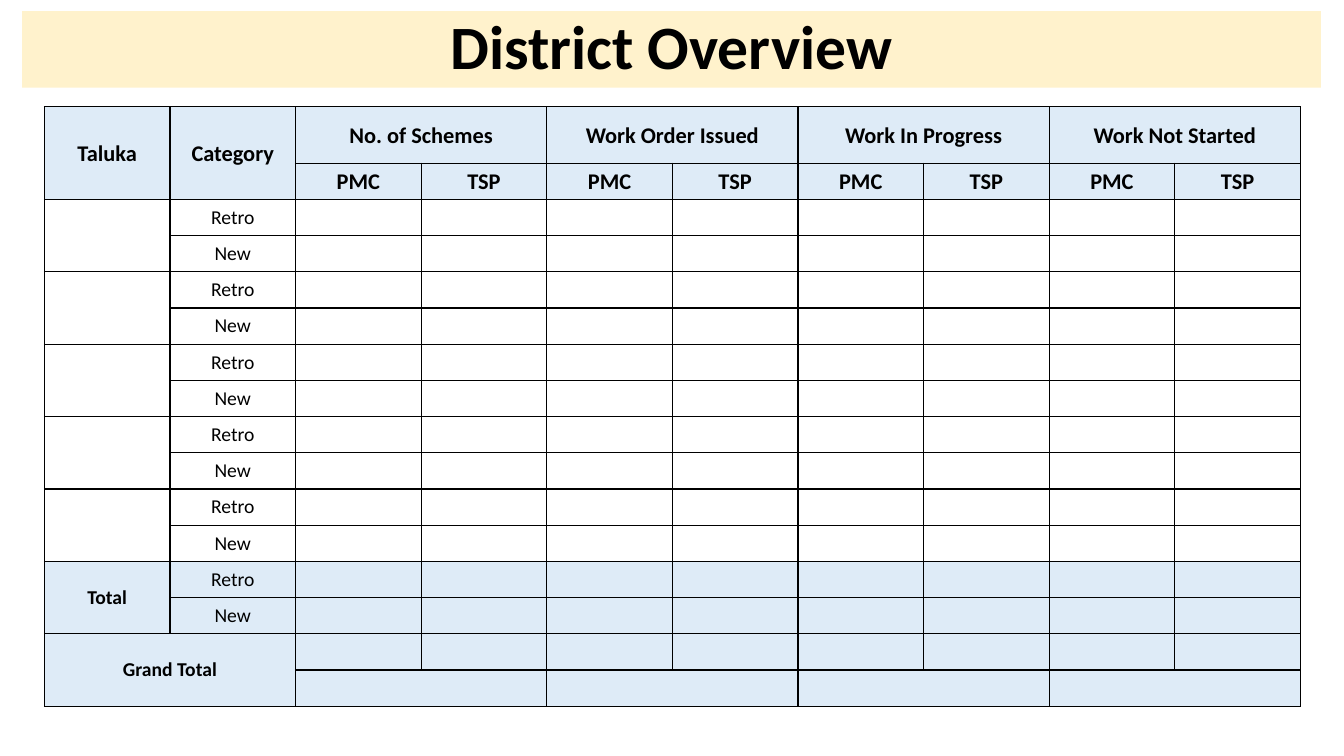
from dataclasses import dataclass

from lxml.etree import SubElement
from pptx import Presentation
from pptx.dml.color import RGBColor as Rgb
from pptx.enum.text import MSO_ANCHOR as Anchor, MSO_AUTO_SIZE as AutoSize, PP_ALIGN as Align
from pptx.oxml import parse_xml
from pptx.oxml.ns import nsdecls, qn
from pptx.util import Inches, Pt


@dataclass(frozen=True)
class Theme:
    font: str = "Calibri"
    ink: str = "000000"
    title_fill: str = "FFF2CC"
    shade: str = "DEEBF7"
    title_size: int = 44
    header_size: int = 16
    body_size: int = 14
    border: int = 1


THEME = Theme()
MEASURES = ["No. of Schemes", "Work Order Issued", "Work In Progress", "Work Not Started"]
SCHEME_TYPES = ["PMC", "TSP"]
CATEGORIES = ["Retro", "New"]
TALUKA_COUNT = 5
HEADER_ROWS = 2
TOTAL_ROW = HEADER_ROWS + TALUKA_COUNT * len(CATEGORIES)
GRAND_ROW = TOTAL_ROW + len(CATEGORIES)
ROW_COUNT = GRAND_ROW + 2
COLUMN_COUNT = 2 + len(MEASURES) * len(SCHEME_TYPES)


def set_values(target, values):
    for name, value in values.items():
        setattr(target, name, value)


def write_text(frame, text, size, bold):
    """Put one centred line of text in a frame."""
    para = frame.paragraphs[0]
    para.alignment = Align.CENTER
    span = para.add_run()
    span.text = text
    set_values(span.font, {"name": THEME.font, "size": Pt(size), "bold": bold})
    span.font.color.rgb = Rgb.from_string(THEME.ink)


def add_title(page, text):
    box = page.shapes.title
    set_values(box, {"left": Inches(0.22), "top": Inches(0.11),
                     "width": Inches(12.88), "height": Inches(0.76)})
    box.fill.solid()
    box.fill.fore_color.rgb = Rgb.from_string(THEME.title_fill)
    frame = box.text_frame
    set_values(frame, {"word_wrap": True, "auto_size": AutoSize.NONE,
                       "vertical_anchor": Anchor.MIDDLE})
    write_text(frame, text, THEME.title_size, True)
    frame.paragraphs[0].line_spacing = 0.9


def add_borders(cell):
    """Draw the four sides; they must precede the fill in the XML."""
    properties = cell._tc.get_or_add_tcPr()
    for index, side in enumerate(("lnL", "lnR", "lnT", "lnB")):
        line = parse_xml(f'<a:{side} {nsdecls("a")} w="{Pt(THEME.border)}"/>')
        fill = SubElement(line, qn("a:solidFill"))
        SubElement(fill, qn("a:srgbClr"), val=THEME.ink)
        properties.insert(index, line)


def format_cell(cell, shaded, is_header):
    side, top, bottom = (0.01, 0.01, 0) if is_header else (0.03, 0.02, 0.02)
    set_values(cell, {"margin_left": Inches(side), "margin_right": Inches(side),
                      "margin_top": Inches(top), "margin_bottom": Inches(bottom),
                      "vertical_anchor": Anchor.MIDDLE})
    if shaded:
        cell.fill.solid()
        cell.fill.fore_color.rgb = Rgb.from_string(THEME.shade)
    else:
        cell.fill.background()
    add_borders(cell)


def add_grid(page):
    """Add the formatted, still empty table."""
    width, height, first_row = Inches(12.46), Inches(5.95), Inches(0.56)
    table = page.shapes.add_table(ROW_COUNT, COLUMN_COUNT, Inches(0.44), Inches(1.06),
                                  width, height).table
    set_values(table, {"first_row": False, "horz_banding": False})
    for column in table.columns:
        column.width = width // COLUMN_COUNT
    for row_index, row in enumerate(table.rows):
        row.height = first_row if row_index == 0 else (height - first_row) // (ROW_COUNT - 1)
        is_header = row_index < HEADER_ROWS
        for cell in row.cells:
            format_cell(cell, is_header or row_index >= TOTAL_ROW, is_header)
    return table


def merge(table, row, column, rows=1, columns=1):
    cell = table.cell(row, column)
    cell.merge(table.cell(row + rows - 1, column + columns - 1))
    return cell


def fill_headers(table):
    for column, text in enumerate(["Taluka", "Category"]):
        cell = merge(table, 0, column, rows=HEADER_ROWS)
        write_text(cell.text_frame, text, THEME.header_size, True)
    for index, measure in enumerate(MEASURES):
        first = 2 + index * len(SCHEME_TYPES)
        cell = merge(table, 0, first, columns=len(SCHEME_TYPES))
        write_text(cell.text_frame, measure, THEME.header_size, True)
        for offset, scheme_type in enumerate(SCHEME_TYPES):
            write_text(table.cell(1, first + offset).text_frame, scheme_type,
                       THEME.header_size, True)
        # Combined grand total under each measure
        merge(table, GRAND_ROW + 1, first, columns=len(SCHEME_TYPES))


def fill_body(table):
    # Taluka groups, closed by the total group
    for row in range(HEADER_ROWS, GRAND_ROW, len(CATEGORIES)):
        group = merge(table, row, 0, rows=len(CATEGORIES))
        if row == TOTAL_ROW:
            write_text(group.text_frame, "Total", THEME.body_size, True)
        for offset, category in enumerate(CATEGORIES):
            write_text(table.cell(row + offset, 1).text_frame, category,
                       THEME.body_size, False)
    grand = merge(table, GRAND_ROW, 0, rows=2, columns=2)
    write_text(grand.text_frame, "Grand Total", THEME.body_size, True)


def main():
    deck = Presentation()
    set_values(deck, {"slide_width": Inches(13.33), "slide_height": Inches(7.5)})
    page = deck.slides.add_slide(deck.slide_layouts[5])
    add_title(page, "District Overview")
    table = add_grid(page)
    fill_headers(table)
    fill_body(table)
    deck.save("out.pptx")


main()
